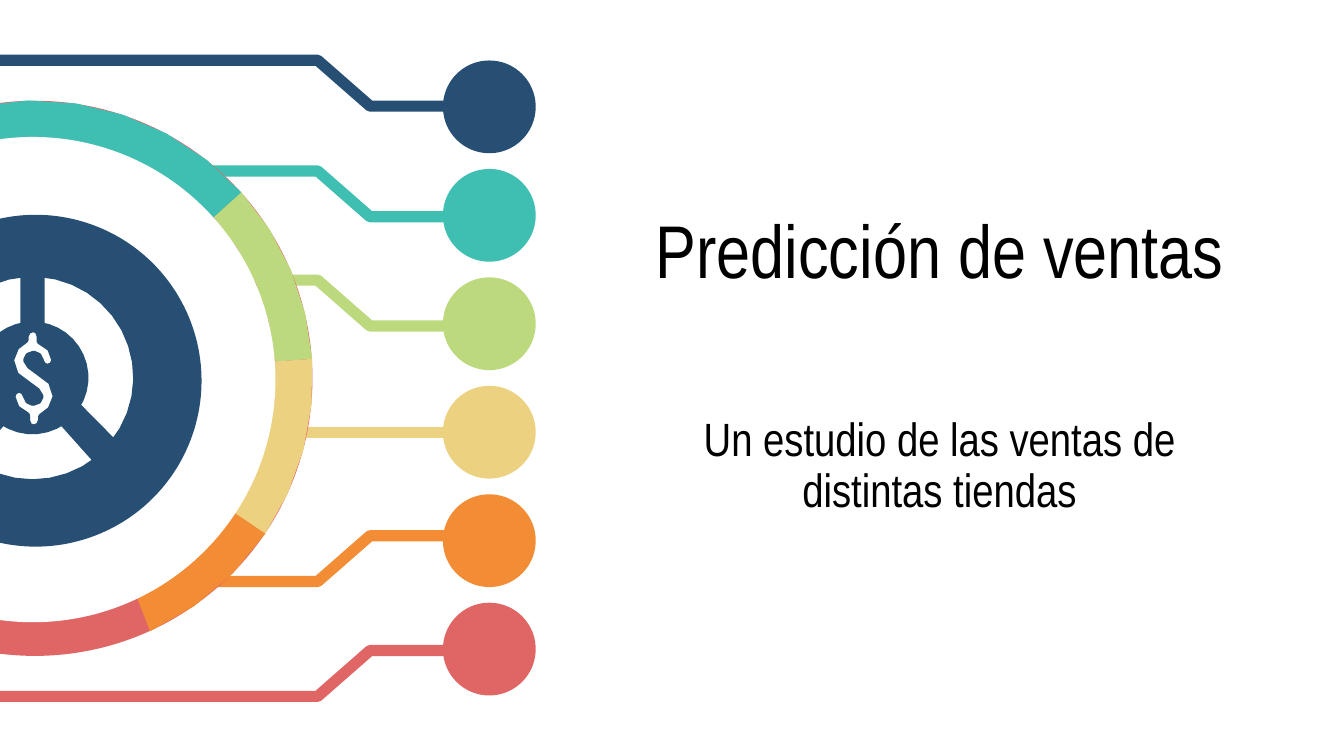
"""Build the sales forecast title slide with its ring, branches and chart icon."""
from math import cos, radians, sin

from lxml import etree
from pptx import Presentation
from pptx.dml.color import RGBColor
from pptx.enum.shapes import MSO_CONNECTOR, MSO_SHAPE
from pptx.enum.text import MSO_ANCHOR, MSO_AUTO_SIZE, PP_ALIGN
from pptx.oxml.ns import qn
from pptx.util import Pt

OVAL, DONUT = MSO_SHAPE.OVAL, MSO_SHAPE.DONUT
STRAIGHT = MSO_CONNECTOR.STRAIGHT
MIDDLE, BOTTOM = MSO_ANCHOR.MIDDLE, MSO_ANCHOR.BOTTOM
CENTER, NO_FIT = PP_ALIGN.CENTER, MSO_AUTO_SIZE.NONE

NAVY = RGBColor(0x26, 0x4F, 0x73)
TEAL = RGBColor(0x3F, 0xBF, 0xB2)
GREEN = RGBColor(0xBC, 0xD9, 0x7E)
SAND = RGBColor(0xEC, 0xD1, 0x80)
ORANGE = RGBColor(0xF2, 0x8D, 0x35)
RED = RGBColor(0xE0, 0x66, 0x66)
WHITE = RGBColor(0xFF, 0xFF, 0xFF)
BLACK = RGBColor(0, 0, 0)

RING = (18.7, 202.7)
PIE = (17.4, 202.3)


def trace(points, close=True):
    points = [(Pt(x), Pt(y)) for x, y in points]
    pen = shapes.build_freeform(*points[0])
    pen.add_line_segments(points[1:], close=close)
    return pen.convert_to_shape()


def paint(shape, fill=None, line=None, width=6):
    shape.shadow.inherit = False
    if fill is None:
        shape.fill.background()
    else:
        shape.fill.solid()
        shape.fill.fore_color.rgb = fill
    if line is None:
        shape.line.fill.background()
    else:
        shape.line.color.rgb = line
        shape.line.width = Pt(width)


deck = Presentation()
deck.slide_width, deck.slide_height = Pt(720), Pt(405)
slide = deck.slides.add_slide(deck.slide_layouts[0])
shapes = slide.shapes

texts = [
    (shapes.title, "Predicción de ventas", 93.2, 86.4, 40, MIDDLE),
    (slide.placeholders[1], "Un estudio de las ventas de distintas tiendas",
     179.3, 105.1, 25, BOTTOM),
]
for holder, text, top, height, size, anchor in texts:
    holder.left, holder.top = Pt(341.3), Pt(top)
    holder.width, holder.height = Pt(324), Pt(height)
    frame = holder.text_frame
    frame.text = text
    frame.word_wrap = True
    frame.auto_size = NO_FIT
    frame.vertical_anchor = anchor
    frame.margin_left = frame.margin_right = Pt(7.2)
    frame.margin_top = frame.margin_bottom = Pt(7.2)
    para = frame.paragraphs[0]
    para.alignment = CENTER
    para.line_spacing = 0.9
    para.space_before = Pt(0)
    font = para.runs[0].font
    font.name, font.size, font.color.rgb = "Arial Narrow", Pt(size), BLACK

branches = [
    (NAVY, 56.9, -24.6),
    (TEAL, 116.2, -24.6),
    (GREEN, 174.7, -24.6),
    (SAND, 231.8, 0),
    (ORANGE, 287, 24.6),
    (RED, 348.5, 24.6),
]
for row, (color, y, bend) in enumerate(branches):
    if bend:
        path = [(238.3, y), (198.3, y), (170.2, y + bend), (-15.8, y + bend)]
        paint(trace(path, False), line=color)
    else:
        link = shapes.add_connector(STRAIGHT, Pt(237.6), Pt(y), Pt(160.6), Pt(y))
        link.line.color.rgb = color
        link.line.width = Pt(6)
        etree.SubElement(link._element.spPr, qn("a:effectLst"))
    dot = shapes.add_shape(OVAL, Pt(237.3), Pt(32.4 + 58.1 * row), Pt(49.7), Pt(49.7))
    paint(dot, color)

discs = [
    (DONUT, RED, *RING, 148.7),
    (OVAL, WHITE, 17.6, 203.4, 130),
    (OVAL, NAVY, 19.1, 204, 88.9),
]
bands = [
    (TEAL, None, RING, 148.9, 128.9, -21, 48, -21, 48),
    (GREEN, None, RING, 148.9, 128.9, 48, 86, 48, 86),
    (SAND, None, RING, 148.9, 128.9, 86, 124, 86, 124),
    (ORANGE, None, RING, 148.9, 128.9, 124, 155.5, 124, 155),
    (WHITE, NAVY, PIE, 57, 27, 3.5, 130, 7.5, 124),
    (WHITE, NAVY, PIE, 57.5, 27.4, 141, 219, 144, 216),
    (WHITE, NAVY, PIE, 57, 27, 230, 356.5, 236, 352.5),
]
for index, (fill, line, hub, outer, inner, start, end, begin, stop) in enumerate(bands):
    for kind, color, x, y, radius in {0: discs[:1], 4: discs[1:]}.get(index, []):
        disc = shapes.add_shape(kind, Pt(x - radius), Pt(y - radius),
                                Pt(2 * radius), Pt(2 * radius))
        if kind == DONUT:
            disc.adjustments[0] = 0.07
        paint(disc, color)
    path = []
    for radius, first, last in ((outer, start, end), (inner, stop, begin)):
        steps = round(abs(last - first) / 10)
        for step in range(steps + 1):
            angle = radians(first + (last - first) * step / steps)
            path.append((hub[0] + radius * sin(angle), hub[1] - radius * cos(angle)))
    paint(trace(path), fill, line)

half = [
    (0, -26.3), (-2.8, -25.3), (-4, -22.7), (-4, -20.5),
    (-9.1, -16.6), (-11.9, -9.7), (-9.4, -2), (-2.5, 3.2),
    (2, 6.5), (4, 9.7), (2.8, 12.2), (-0.2, 13.3),
    (-2.8, 12.2), (-4, 9.7), (-5.2, 7.2), (-7.6, 6.1),
    (-10, 7.2), (-11.2, 9.7), (-8.9, 15.9), (-3.2, 19.8),
    (-3.2, 22.7), (-2.3, 25.3),
]
path = [(17.9 + side * x, 202.7 + side * y) for side in (1, -1) for x, y in half]
paint(trace(path), WHITE, NAVY, 3)

deck.save("out.pptx")
